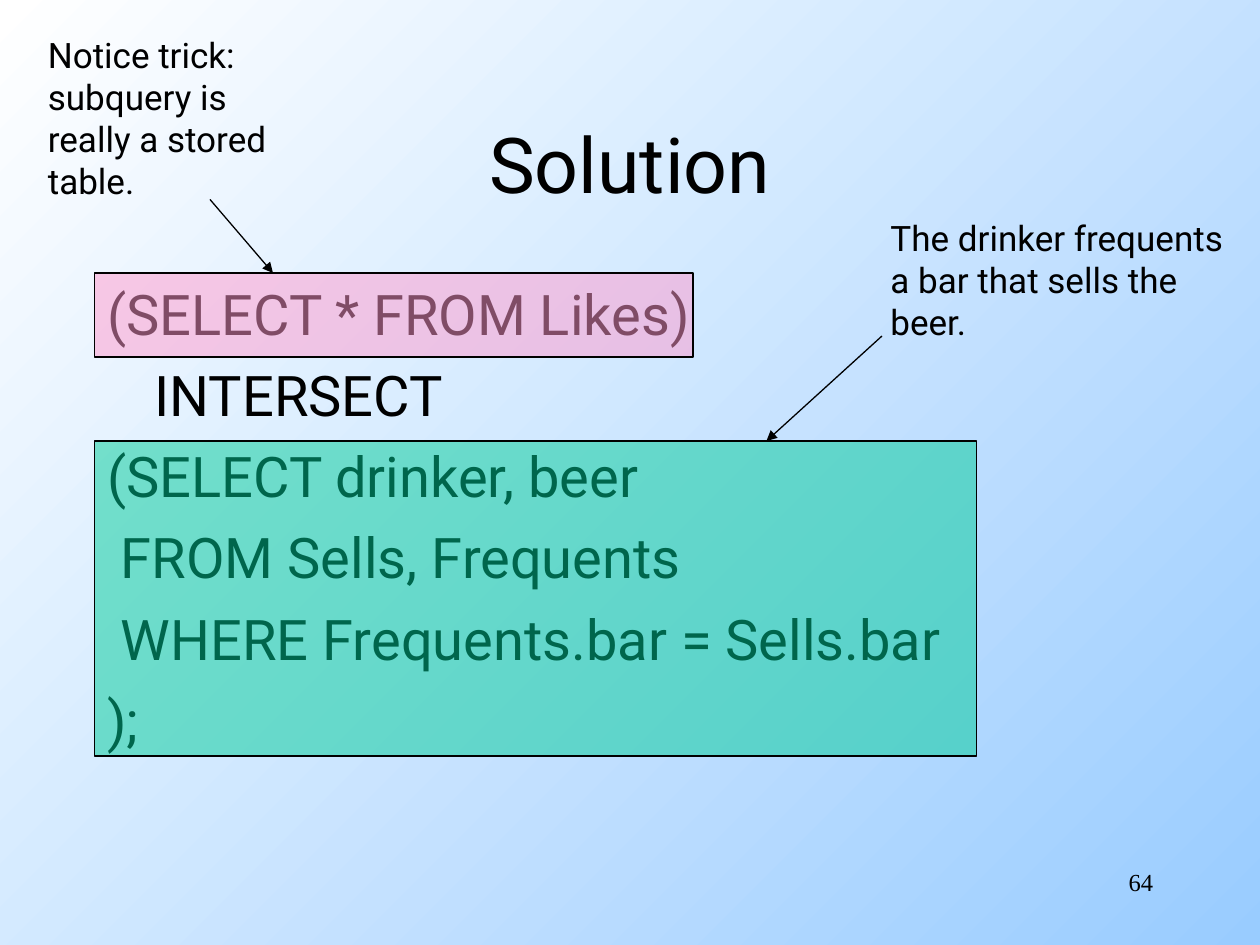
from lxml import etree
from pptx import Presentation, util as u
from pptx.dml.color import RGBColor
from pptx.enum import shapes, text
from pptx.oxml.ns import qn

COLORS = {"text": "000000", "sky_start": "FFFFFF", "sky_end": "99CCFF",
          "likes": "FF99CC", "sells": "00CC99"}
TITLE = {"text": "Solution", "box": (72, 64, 816, 120)}
QUERY_BOX = (72, 208, 816, 432)
HANGING = 36
QUERY = [  # line of code, indented by one step
    ("(SELECT * FROM Likes)", False),
    ("INTERSECT", True),
    ("(SELECT drinker, beer", False),
    (" FROM Sells, Frequents", False),
    (" WHERE Frequents.bar = Sells.bar", False),
    (");", False),
]
CALLOUTS = [
    {"color": "sells", "highlight": (72, 336, 672, 240),
     "note": ["The drinker frequents", "a bar that sells the", "beer."],
     "note_box": (669, 160, 293, 106), "arrow": (672, 256, 584, 336)},
    {"color": "likes", "highlight": (72, 208, 456, 64),
     "note": ["Notice trick:", "subquery is", "really a stored", "table."],
     "note_box": (27, 21, 198, 138), "arrow": (160, 152, 208, 208)},
]
NUMBER = {"text": "64", "box": (688, 656, 200, 48)}


def px(value):
    return u.Emu(value * 9525)


def rgb(name):
    return RGBColor.from_string(COLORS[name])


def apply(target, **values):
    for name, value in values.items():
        setattr(target, name, value)


def place(shape, box):
    apply(shape, **dict(zip(("left", "top", "width", "height"), map(px, box))))


def style(paragraph, size, name="Roboto"):
    apply(paragraph.font, size=u.Pt(size), name=name)
    paragraph.font.color.rgb = rgb("text")


def outline(shape):
    shape.line.color.rgb = rgb("text")
    shape.line.width = u.Pt(0.75)


def add_text(slide, lines, box, size, wrap, align=None, name="Roboto"):
    frame = slide.shapes.add_textbox(*map(px, box)).text_frame
    frame.word_wrap = wrap
    frame.text = "\n".join(lines)
    for paragraph in frame.paragraphs:
        paragraph.alignment = align
        style(paragraph, size, name)


def add_highlight(slide, box, color):
    shape = slide.shapes.add_shape(shapes.MSO_SHAPE.RECTANGLE, *map(px, box))
    shape.shadow.inherit = False
    shape.fill.solid()
    shape.fill.fore_color.rgb = rgb(color)
    fill_color = shape._element.spPr.find(qn("a:solidFill"))[0]
    etree.SubElement(fill_color, qn("a:alpha"), val="50000")
    outline(shape)


def add_arrow(slide, ends):
    arrow = slide.shapes.add_connector(shapes.MSO_CONNECTOR.STRAIGHT, *map(px, ends))
    outline(arrow)
    etree.SubElement(arrow.line._get_or_add_ln(), qn("a:tailEnd"), type="triangle")
    etree.SubElement(arrow._element.spPr, qn("a:effectLst"))


def fill_background(slide):
    fill = slide.background.fill
    fill.gradient()
    fill.gradient_angle = 315
    for stop, name, position in zip(fill.gradient_stops, ("sky_start", "sky_end"), (0, 1)):
        stop.color.rgb = rgb(name)
        stop.position = position


def fill_title(shape):
    place(shape, TITLE["box"])
    frame = shape.text_frame
    frame.text = TITLE["text"]
    apply(frame, vertical_anchor=text.MSO_ANCHOR.MIDDLE, auto_size=text.MSO_AUTO_SIZE.NONE)
    frame.paragraphs[0].alignment = text.PP_ALIGN.CENTER
    style(frame.paragraphs[0], 44)


def fill_query(shape):
    place(shape, QUERY_BOX)
    frame = shape.text_frame
    frame.text = "\n".join(line for line, _ in QUERY)
    frame.auto_size = text.MSO_AUTO_SIZE.NONE
    for index, (paragraph, (_, indented)) in enumerate(zip(frame.paragraphs, QUERY)):
        properties = paragraph._p.get_or_add_pPr()
        properties.set("marL", str(px(HANGING)))
        properties.set("indent", str(px(0 if indented else -HANGING)))
        etree.SubElement(properties, qn("a:buNone"))
        paragraph.space_before = u.Pt(8 if index else 0)
        style(paragraph, 32)


def main():
    presentation = Presentation()
    apply(presentation, slide_width=px(960), slide_height=px(720))
    slide = presentation.slides.add_slide(presentation.slide_layouts[1])
    fill_background(slide)
    fill_title(slide.shapes.title)
    fill_query(slide.placeholders[1])
    for callout in CALLOUTS:
        add_highlight(slide, callout["highlight"], callout["color"])
        add_text(slide, callout["note"], callout["note_box"], 20, wrap=False)
        add_arrow(slide, callout["arrow"])
    add_text(slide, [NUMBER["text"]], NUMBER["box"], 14, wrap=True,
             align=text.PP_ALIGN.RIGHT, name="Times New Roman")
    presentation.save("out.pptx")


if __name__ == "__main__":
    main()
